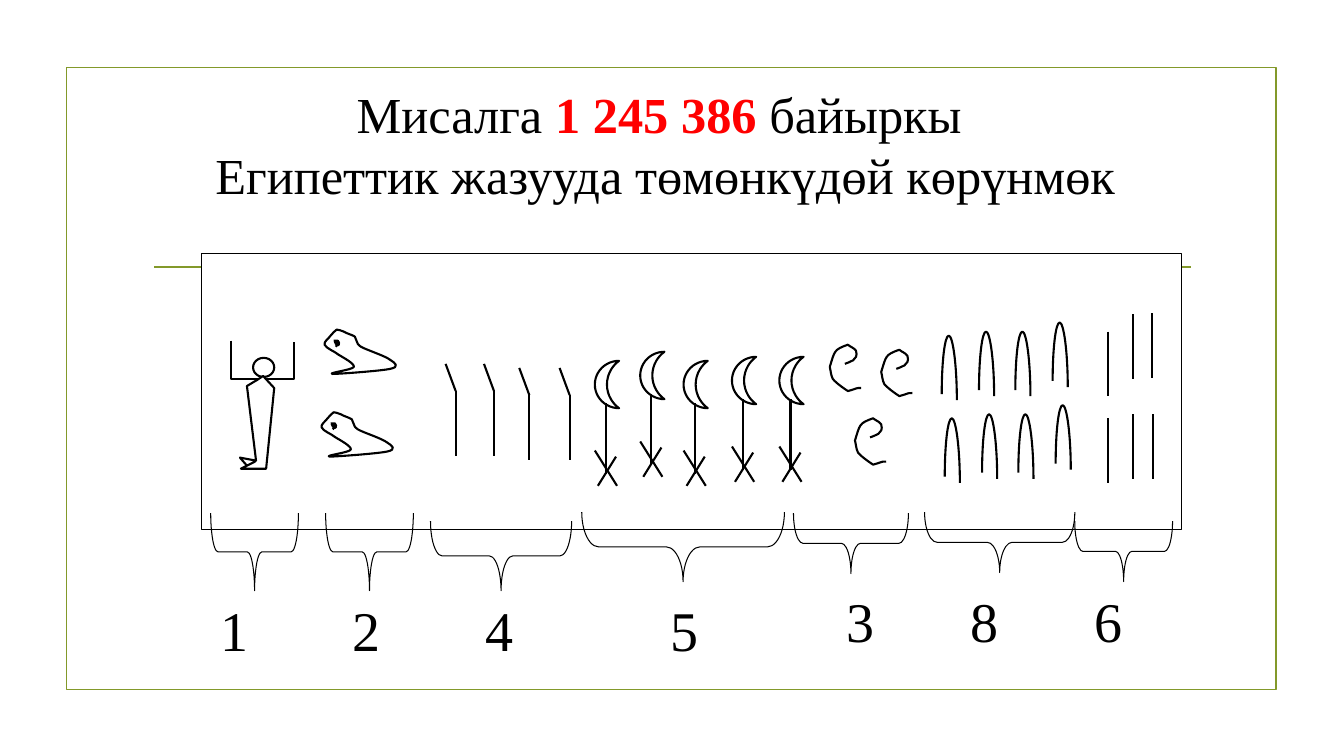
from lxml import etree
from pptx import Presentation
from pptx.dml.color import RGBColor
from pptx.enum.shapes import MSO_CONNECTOR as LINK, MSO_SHAPE as SHAPE
from pptx.enum.text import MSO_ANCHOR as ANCHOR, MSO_AUTO_SIZE as FIT, PP_ALIGN as ALIGN
from pptx.oxml.ns import qn
from pptx.util import Inches, Pt

BLACK = RGBColor(0x00, 0x00, 0x00)
WHITE = RGBColor(0xFF, 0xFF, 0xFF)
OLIVE = RGBColor(0x83, 0x99, 0x2A)
RED = RGBColor(0xFF, 0x00, 0x00)
FONT = "Times New Roman"

# Curves: a start point, then two control points and an end point per piece
FROG = [
    (.07, .06), (.09, .04), (.11, .01), (.13, 0), (.15, 0), (.17, .01), (.2, .02),
    (.23, .04), (.28, .05), (.31, .07), (.34, .1), (.31, .13), (.37, .17),
    (.42, .2), (.61, .26), (.66, .3), (.71, .33), (.76, .37), (.66, .39),
    (.57, .41), (.15, .44), (.09, .44), (.03, .43), (.29, .4), (.3, .37),
    (.31, .34), (.2, .28), (.15, .25), (.1, .21), (.03, .19), (.01, .15),
    (0, .12), (.05, .09), (.07, .06)]
EYE = [
    (.11, .1), (.11, .11), (.11, .13), (.12, .14), (.13, .15), (.15, .17), (.15, .15),
    (.16, .14), (.15, .12), (.14, .11), (.13, .11), (.11, .11), (.11, .12),
    (.11, .13), (.14, .12), (.14, .13), (.15, .14), (.12, .17), (.12, .17)]
CURL = [
    (.15, .19), (.19, .17), (.29, .16), (.26, .06), (.24, .03), (.2, .02), (.18, 0),
    (.04, .05), (.05, .06), (0, .22), (.01, .26), (.01, .3), (.03, .34),
    (.07, .39), (.18, .46), (.18, .46), (.29, .43), (.25, .43), (.31, .43)]
ARCH = [(0, .58), (0, .26), (.03, 0), (.07, 0), (.11, 0), (.15, .29), (.15, .64)]
# Outlines with straight sides
ARMS = [(2.29, 3.38), (2.29, 3.76), (2.92, 3.76), (2.92, 3.39)]
BODY = [(2.55, 3.77), (2.45, 3.83), (2.54, 4.57), (2.38, 4.54), (2.45, 4.62),
        (2.53, 4.58), (2.39, 4.65), (2.64, 4.65), (2.72, 3.85), (2.61, 3.73)]

deck = Presentation()
deck.slide_width, deck.slide_height = Inches(13.33), Inches(7.5)
slide = deck.slides.add_slide(deck.slide_layouts[5])
shapes = slide.shapes


def style(shape, fill=None, color=BLACK, width=1.5):
    """Set outline and fill, and drop the shadow of a shape or connector."""
    shape.line.color.rgb = color
    shape.line.width = Pt(width)
    if hasattr(shape, "begin_x"):
        etree.SubElement(shape._element.spPr, qn("a:effectLst"))
        return
    shape.shadow.inherit = False
    if fill is None:
        shape.fill.background()
    else:
        shape.fill.solid()
        shape.fill.fore_color.rgb = fill


def trace(points, left=0, top=0, curved=False, fill=None):
    """Draw an outline through points, closed when it has a fill."""
    spots = [(Inches(left + x), Inches(top + y)) for x, y in points]
    pen = shapes.build_freeform(*spots[0])
    pen.add_line_segments(spots[1:], close=fill is not None)
    shape = pen.convert_to_shape()
    style(shape, fill)
    if curved:
        # Merge each three line steps into one Bezier step
        steps = list(shape._element.iter(qn("a:lnTo")))
        for i in range(0, len(steps), 3):
            bend = steps[i]
            bend.tag = qn("a:cubicBezTo")
            for step in steps[i + 1:i + 3]:
                bend.append(step[0])
                step.getparent().remove(step)


# Frame, rule and panel
frame = shapes.add_shape(SHAPE.RECTANGLE, Inches(.66), Inches(.67), Inches(12), Inches(6.17))
style(frame, color=OLIVE, width=1.25)
rule = shapes.add_connector(LINK.STRAIGHT, Inches(1.53), Inches(2.65), Inches(11.81), Inches(2.65))
style(rule, color=OLIVE, width=1.25)
panel = shapes.add_shape(SHAPE.RECTANGLE, Inches(2), Inches(2.52), Inches(9.72), Inches(2.73))
style(panel, WHITE, width=.75)

# Title
title = shapes.title
title.left, title.top, title.width, title.height = (
    Inches(.29), Inches(.77), Inches(12.62), Inches(1.31))
words = title.text_frame
words.word_wrap, words.auto_size = True, FIT.NONE
words.vertical_anchor = ANCHOR.MIDDLE
rows = [
    [("Мисалга ", BLACK), ("1 245 386 ", RED), ("байыркы ", BLACK)],
    [("Египеттик жазууда төмөнкүдөй көрүнмөк", BLACK)],
]
for i, row in enumerate(rows):
    para = words.add_paragraph() if i else words.paragraphs[0]
    para.alignment = ALIGN.CENTER
    for text, color in row:
        run = para.add_run()
        run.text = text
        run.font.name, run.font.size = FONT, Pt(36)
        run.font.bold = color == RED
        run.font.color.rgb = color

# Million: a man with raised arms
trace(ARMS)
head = shapes.add_shape(SHAPE.OVAL, Inches(2.51), Inches(3.55), Inches(.21), Inches(.19))
style(head, WHITE)
trace(BODY, fill=WHITE)

# Hundred thousands: frogs
for x, y in [(3.21, 3.27), (3.18, 4.09)]:
    trace(FROG, x, y, curved=True, fill=WHITE)
    trace(EYE, x, y, curved=True)

# Ten thousands: bent fingers
lines = []
for x, y in [(4.42, 3.61), (4.8, 3.61), (5.15, 3.65), (5.55, 3.65)]:
    lines += [(x, y, x + .1, y + .27), (x + .1, y + .27, x + .1, y + .91)]

# Thousands: lotus plants
for x, y in [(5.9, 3.58), (6.35, 3.49), (6.78, 3.58), (7.26, 3.54), (7.73, 3.54)]:
    moon = shapes.add_shape(SHAPE.MOON, Inches(x), Inches(y), Inches(.24), Inches(.47))
    style(moon, WHITE)
    lines += [(x + .11, y + .42, x + .11, y + 1.12),
              (x + .21, y + .95, x + .03, y + 1.24),
              (x, y + .89, x + .22, y + 1.24)]

# Hundreds: curls
for x, y in [(8.48, 4.15), (8.74, 3.47), (8.23, 3.42)]:
    trace(CURL, x, y, curved=True)

# Tens: two rows of arches
for x, y in [(9.34, 3.33), (9.71, 3.29), (10.07, 3.29), (10.44, 3.2)]:
    for dx, dy in [(0, 0), (.03, .82)]:
        trace(ARCH, x + dx, y + dy, curved=True)

# Units: strokes
for x, y in [(10.99, 4.15), (11.24, 4.11), (11.44, 4.11),
             (10.99, 3.29), (11.24, 3.12), (11.43, 3.11)]:
    lines.append((x, y, x, y + .64))

for ends in lines:
    style(shapes.add_connector(LINK.STRAIGHT, *[Inches(end) for end in ends]))

# Each digit: label left and top, then brace left, top, span and drop
digits = [
    ("1", 2.09, 5.86, 2.09, 5.09, .87, .77),
    ("2", 3.4, 5.86, 3.23, 5.09, .87, .77),
    ("4", 4.72, 5.86, 4.27, 5.17, 1.4, .69),
    ("5", 6.55, 5.86, 5.77, 5.08, 2.01, .69),
    ("3", 8.3, 5.77, 7.87, 5.09, 1.14, .6),
    ("8", 9.53, 5.77, 9.17, 5.08, 1.49, .6),
    ("6", 10.76, 5.77, 10.66, 5.17, .97, .6),
]
for digit, left, top, x, y, span, drop in digits:
    label = shapes.add_textbox(Inches(left), Inches(top), Inches(.7), Inches(.83))
    label.text_frame.word_wrap = True
    run = label.text_frame.paragraphs[0].add_run()
    run.text = digit
    run.font.name, run.font.size = FONT, Pt(40)
    run.font.color.rgb = BLACK

    shift = (span - drop) / 2
    brace = shapes.add_shape(SHAPE.LEFT_BRACE, Inches(x + shift), Inches(y - shift),
                             Inches(drop), Inches(span))
    brace.rotation = 270
    brace.adjustments[0] = span / drop / 12
    style(brace, width=.75)

deck.save("out.pptx")
